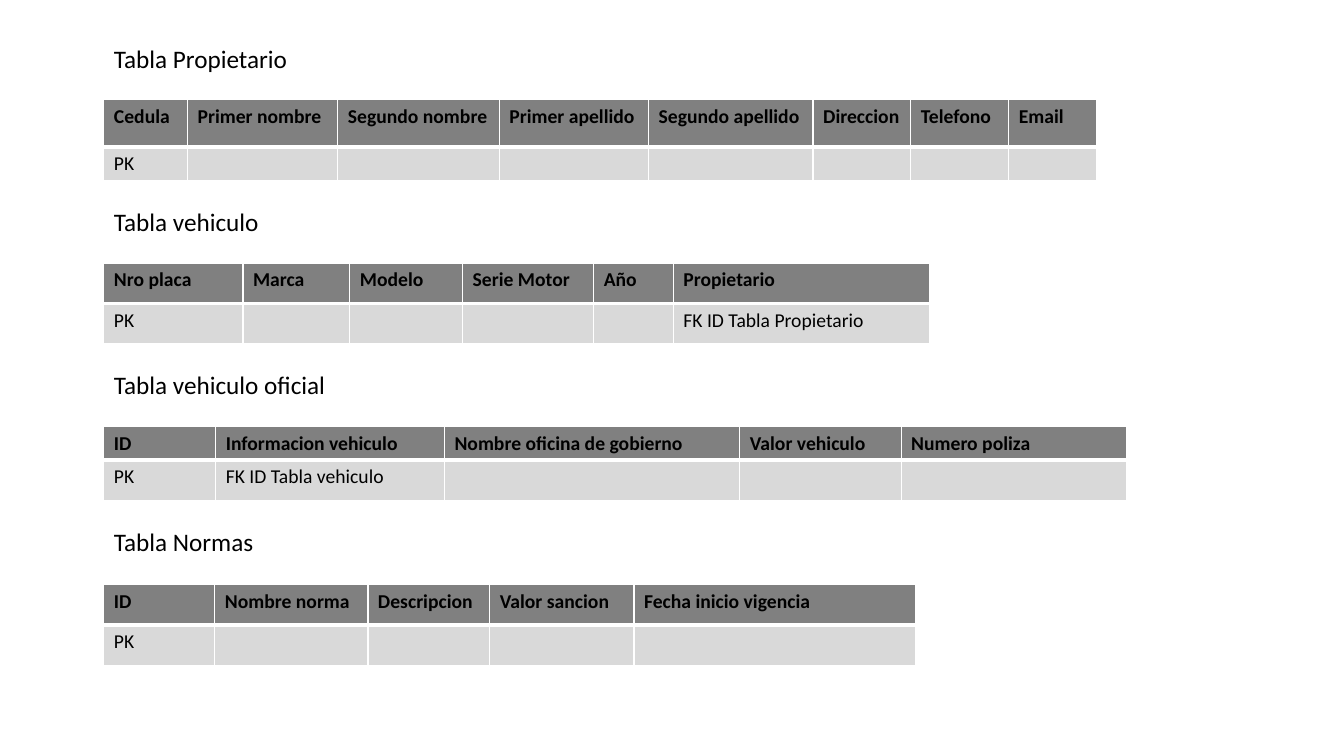
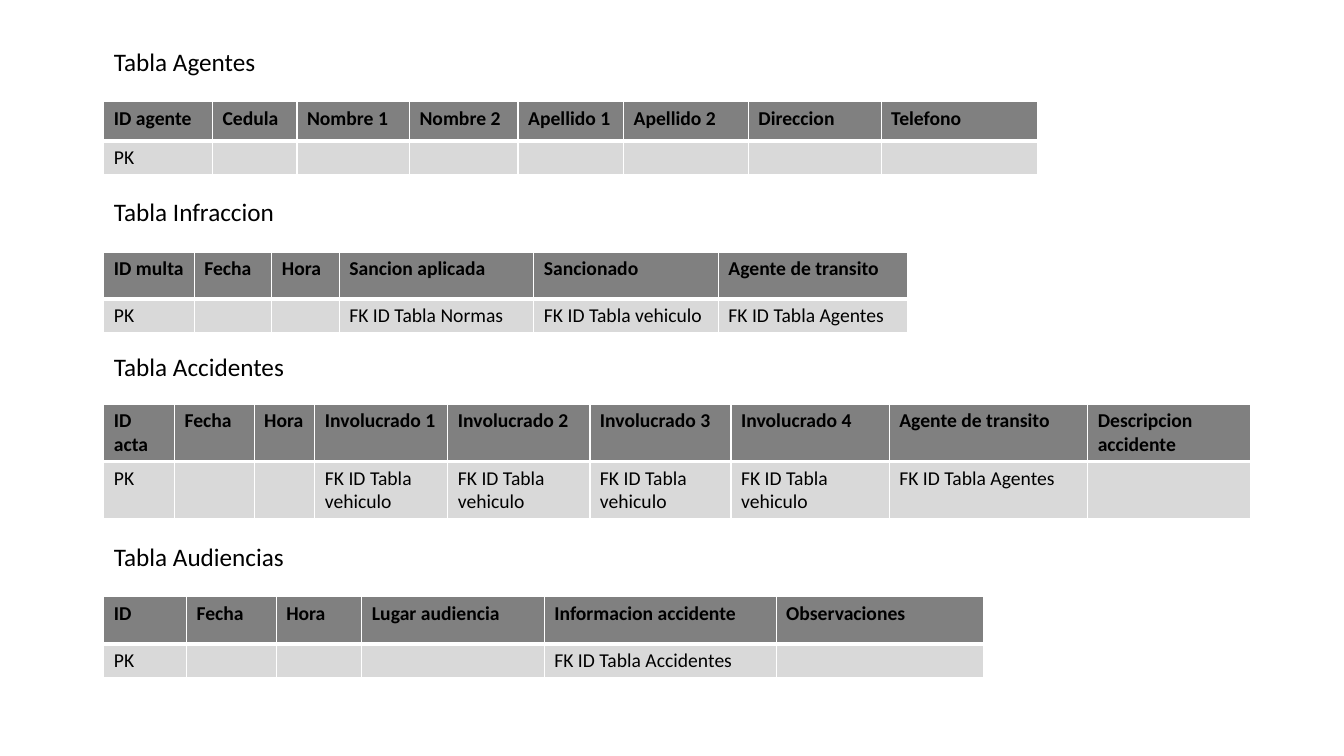
"""Build two slides that list the tables of a traffic database."""
from lxml import etree
from pptx import Presentation
from pptx.dml.color import RGBColor
from pptx.enum.text import MSO_AUTO_SIZE
from pptx.oxml.ns import qn
from pptx.util import Pt

GROW = MSO_AUTO_SIZE.SHAPE_TO_FIT_TEXT
BLACK = RGBColor(0x00, 0x00, 0x00)
WHITE = RGBColor(0xFF, 0xFF, 0xFF)
GRAY = RGBColor(0x80, 0x80, 0x80)
PALE = RGBColor(0xD9, 0xD9, 0xD9)
FONT = "Calibri"
LEFT = 74.2
HEAD_W, HEAD_H = 248.4, 28.8

# Each table: heading, heading top, table top, row heights, columns (name, width, key).
SLIDES = [
    [
        ("Tabla Propietario", 27.4, 71.3, (33.6, 24), [
            ("Cedula", 59.8, "PK"), ("Primer nombre", 107.3, ""),
            ("Segundo nombre", 115.4, ""), ("Primer apellido", 106.6, ""),
            ("Segundo apellido", 117.5, ""), ("Direccion", 69.9, ""),
            ("Telefono", 69.9, ""), ("Email", 62.8, "")]),
        ("Tabla vehiculo", 144, 187.9, (28.8, 28.8), [
            ("Nro placa", 99.4, "PK"), ("Marca", 76.3, ""),
            ("Modelo", 80.6, ""), ("Serie Motor", 93.6, ""),
            ("Año", 56.9, ""),
            ("Propietario", 182.9, "FK ID Tabla Propietario")]),
        ("Tabla vehiculo oficial", 260.6, 304.6, (24, 28.8), [
            ("ID", 79.9, "PK"),
            ("Informacion vehiculo", 163.4, "FK ID Tabla vehiculo"),
            ("Nombre oficina de gobierno", 211, ""),
            ("Valor vehiculo", 115.2, ""), ("Numero poliza", 161.3, "")]),
        ("Tabla Normas", 372.2, 417.6, (28.8, 28.8), [
            ("ID", 79.2, "PK"), ("Nombre norma", 109.4, ""),
            ("Descripcion", 87.1, ""), ("Valor sancion", 103, ""),
            ("Fecha inicio vigencia", 200.9, "")]),
    ],
    [
        ("Tabla Agentes", 29.5, 72.7, (28, 24), [
            ("ID agente", 77.6, "PK"), ("Cedula", 60.3, ""),
            ("Nombre 1", 80.4, ""), ("Nombre 2", 77.6, ""),
            ("Apellido 1", 75.4, ""), ("Apellido 2", 89.1, ""),
            ("Direccion", 94.9, ""), ("Telefono", 112.1, "")]),
        ("Tabla Infraccion", 136.8, 180, (33.6, 24), [
            ("ID multa", 64.6, "PK"), ("Fecha", 55.4, ""),
            ("Hora", 48.2, ""),
            ("Sancion aplicada", 139, "FK ID Tabla Normas"),
            ("Sancionado", 131.8, "FK ID Tabla vehiculo"),
            ("Agente de transito", 135.4, "FK ID Tabla Agentes")]),
        ("Tabla Accidentes", 247.7, 288.7, (40.8, 40.8), [
            ("ID acta", 50.4, "PK"), ("Fecha", 56.9, ""),
            ("Hora", 43.4, ""),
            ("Involucrado 1", 95, "FK ID Tabla vehiculo"),
            ("Involucrado 2", 101.5, "FK ID Tabla vehiculo"),
            ("Involucrado 3", 100.8, "FK ID Tabla vehiculo"),
            ("Involucrado 4", 113, "FK ID Tabla vehiculo"),
            ("Agente de transito", 141.8, "FK ID Tabla Agentes"),
            ("Descripcion accidente", 116.6, "")]),
        ("Tabla Audiencias", 383, 426.2, (33.6, 24), [
            ("ID", 59, "PK"), ("Fecha", 64.1, ""), ("Hora", 61.2, ""),
            ("Lugar audiencia", 130.3, ""),
            ("Informacion accidente", 165.6, "FK ID Tabla Accidentes"),
            ("Observaciones", 148.3, "")]),
    ],
]


def write(frame, text, size=14, bold=False):
    """Put formatted text in a frame."""
    para = frame.paragraphs[0]
    if not text:
        para._p.get_or_add_endParaRPr().set("sz", str(size * 100))
        return
    run = para.add_run()
    run.text = text
    run.font.name = FONT
    run.font.size = Pt(size)
    run.font.bold = bold
    run.font.color.rgb = BLACK


def edge(cell, sides):
    """Draw white cell borders of the given widths."""
    props = cell._tc.get_or_add_tcPr()
    for side, width in sides.items():
        line = etree.SubElement(props, qn(f"a:ln{side}"), w=str(Pt(width)))
        fill = etree.SubElement(line, qn("a:solidFill"))
        etree.SubElement(fill, qn("a:srgbClr"), val=str(WHITE))


def add_head(slide, text, top):
    """Add the heading above a table."""
    box = slide.shapes.add_textbox(Pt(LEFT), Pt(top), Pt(HEAD_W), Pt(HEAD_H))
    box.text_frame.word_wrap = True
    box.text_frame.auto_size = GROW
    write(box.text_frame, text, size=18)


def add_grid(slide, top, highs, cols):
    """Add a table with a name row and a key row."""
    names, widths, keys = zip(*cols)
    grid = slide.shapes.add_table(
        2, len(cols), Pt(LEFT), Pt(top), Pt(sum(widths)), Pt(sum(highs))).table
    grid.horz_banding = False
    for col, width in zip(grid.columns, widths):
        col.width = Pt(width)
    looks = [(names, GRAY, True, {"L": 1, "R": 1, "T": 1, "B": 3}),
             (keys, PALE, False, {"L": 1, "R": 1, "T": 3, "B": 1})]
    for row, high, (texts, color, bold, sides) in zip(grid.rows, highs, looks):
        row.height = Pt(high)
        for cell, text in zip(row.cells, texts):
            write(cell.text_frame, text, bold=bold)
            edge(cell, sides)
            cell.fill.solid()
            cell.fill.fore_color.rgb = color


deck = Presentation()
deck.slide_width, deck.slide_height = Pt(960), Pt(540)
blank = deck.slide_layouts.get_by_name("Blank")
for tables in SLIDES:
    slide = deck.slides.add_slide(blank)
    for head, head_top, top, highs, cols in tables:
        add_head(slide, head, head_top)
        add_grid(slide, top, highs, cols)
deck.save("out.pptx")
